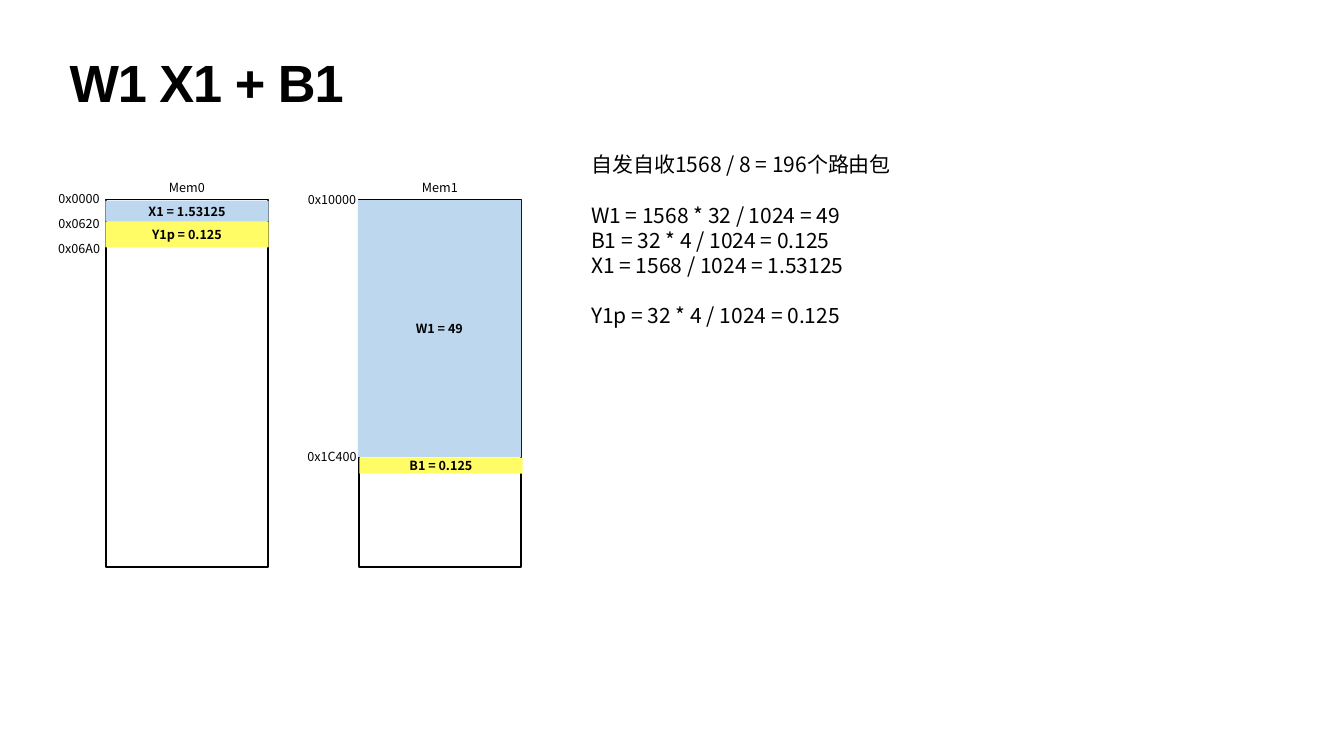
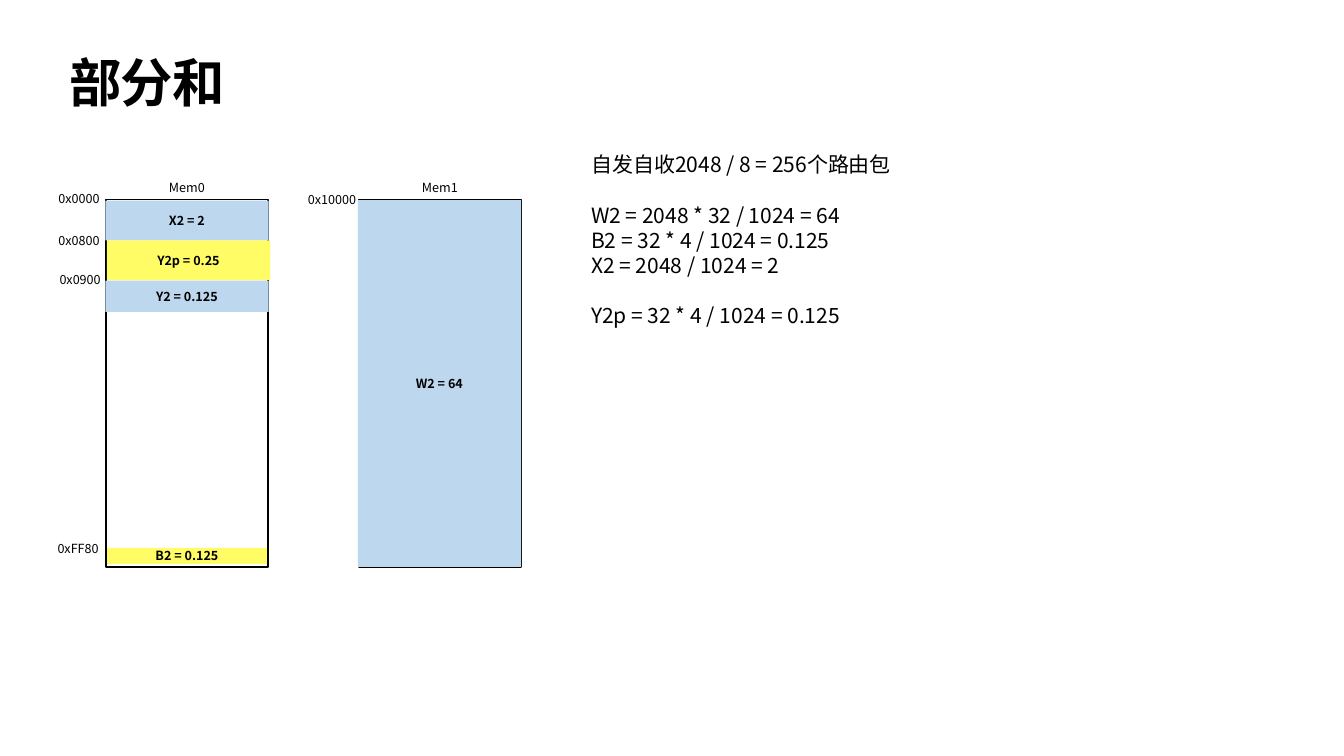
from pptx import Presentation
from pptx.dml.color import RGBColor
from pptx.enum.shapes import MSO_SHAPE
from pptx.enum.text import MSO_ANCHOR, PP_ALIGN
from pptx.oxml.ns import qn
from pptx.util import Emu, Pt

RECTANGLE = MSO_SHAPE.RECTANGLE
LEFT, CENTER = PP_ALIGN.LEFT, PP_ALIGN.CENTER
TOP, MIDDLE = MSO_ANCHOR.TOP, MSO_ANCHOR.MIDDLE

PX = 9144  # 100 px to the inch
BLACK, BLUE, YELLOW = "000000", "BDD7EE", "FFFC66"
BODY_FONT, TITLE_FONT = "Noto Sans CJK SC", "Arial"
MEMORY_TOP, MEMORY_WIDTH, MEMORY_HEIGHT = 396, 322, 729
BLOCK_WIDTH = 324
LABEL_WIDTH, LABEL_HEIGHT = 110, 40


def color(code):
    return RGBColor.from_string(code)


def write(shape, lines, size, align=CENTER, anchor=TOP, bold=False,
          font=BODY_FONT, inset=5, spacing=None, wrap=False):
    """Fill a shape with paragraphs; a line paired with a gap gets space before."""
    frame = shape.text_frame
    frame.word_wrap = wrap
    frame.vertical_anchor = anchor
    frame.margin_left = frame.margin_right = Emu(inset * PX)
    frame.margin_top = frame.margin_bottom = Emu(inset * PX)
    for index, (line, gap) in enumerate(lines):
        paragraph = frame.paragraphs[0] if index == 0 else frame.add_paragraph()
        paragraph.text = line
        paragraph.alignment = align
        paragraph.line_spacing = spacing
        if gap:
            paragraph.space_before = Pt(gap)
        for run in paragraph.runs:
            run.font.size = Pt(size)
            run.font.bold = bold
            run.font.name = font
            run.font.color.rgb = color(BLACK)
            east_asian = run.font._element.makeelement(
                qn("a:ea"), {"typeface": BODY_FONT})
            run.font._element.find(qn("a:latin")).addnext(east_asian)


# Memory: name, frame left, caption top, blocks below the frame line,
# blocks above it, addresses.
# Block: label, left, top, height, fill. Address: label, left, top.
layers = [
    {
        "title": "W1 X1 + B1",
        "memories": [
            ("Mem1", 712, 353, [],
             [("W1 = 49", 710, 397, 510, BLUE),
              ("B1 = 0.125", 713, 908, 32, YELLOW)],
             [("0x10000", 604, 375), ("0x1C400", 604, 886)]),
            ("Mem0", 210, 352, [],
             [("X1 = 1.53125", 209, 398, 42, BLUE),
              ("Y1p = 0.125", 209, 440, 51, YELLOW)],
             [("0x0000", 102, 374), ("0x0620", 102, 424),
              ("0x06A0", 102, 473)]),
        ],
        "sizes": [
            ["自发自收1568 / 8 = 196个路由包"],
            ["W1 = 1568 * 32 / 1024 = 49",
             "B1 = 32 * 4 / 1024 = 0.125",
             "X1 = 1568 / 1024 = 1.53125"],
            ["Y1p = 32 * 4 / 1024 = 0.125"],
        ],
    },
    {
        "title": "部分和",
        "memories": [
            ("Mem1", 712, 353, [],
             [("W2 = 64", 710, 397, 728, BLUE)],
             [("0x10000", 604, 375)]),
            ("Mem0", 210, 352,
             [("B2 = 0.125", 209, 1087, 32, YELLOW)],
             [("X2 = 2", 209, 398, 79, BLUE),
              ("Y2p = 0.25", 212, 477, 79, YELLOW),
              ("Y2 = 0.125", 209, 557, 62, BLUE)],
             [("0x0000", 102, 374), ("0x0800", 102, 458),
              ("0x0900", 104, 535), ("0xFF80", 100, 1069)]),
        ],
        "sizes": [
            ["自发自收2048 / 8 = 256个路由包"],
            ["W2 = 2048 * 32 / 1024 = 64",
             "B2 = 32 * 4 / 1024 = 0.125",
             "X2 = 2048 / 1024 = 2"],
            ["Y2p = 32 * 4 / 1024 = 0.125"],
        ],
    },
]

deck = Presentation()
deck.slide_width = Emu(2667 * PX)
deck.slide_height = Emu(1500 * PX)

for layer in layers:
    slide = deck.slides.add_slide(deck.slide_layouts[6])

    title = slide.shapes.add_textbox(132 * PX, 118 * PX, 2403 * PX, 157 * PX)
    write(title, [(layer["title"], 0)], 74.8, LEFT, bold=True,
          font=TITLE_FONT, inset=6, spacing=0.8, wrap=True)
    title.text_frame.paragraphs[0].runs[0].font._element.set("spc", "-150")

    for name, left, caption_top, under, over, addresses in layer["memories"]:
        outline = (None, left, MEMORY_TOP, MEMORY_HEIGHT, None)
        for label, x, y, height, fill in [*under, outline, *over]:
            width = BLOCK_WIDTH if label else MEMORY_WIDTH
            block = slide.shapes.add_shape(
                RECTANGLE, x * PX, y * PX, width * PX, height * PX)
            block.shadow.inherit = False
            if label:
                block.fill.solid()
                block.fill.fore_color.rgb = color(fill)
                block.line.fill.background()
                write(block, [(label, 0)], 18, anchor=MIDDLE, bold=True, inset=0)
            else:
                block.fill.background()
                block.line.color.rgb = color(BLACK)
                block.line.width = Pt(2.25)

        caption = (name, left + (MEMORY_WIDTH - LABEL_WIDTH) // 2, caption_top)
        for label, x, y in [caption, *addresses]:
            mark = slide.shapes.add_textbox(
                x * PX, y * PX, LABEL_WIDTH * PX, LABEL_HEIGHT * PX)
            write(mark, [(label, 0)], 18, spacing=Pt(21.6))

    size_lines = [(line, 36 if group and not row else 0)
                  for group, lines in enumerate(layer["sizes"])
                  for row, line in enumerate(lines)]
    notes = slide.shapes.add_textbox(1168 * PX, 296 * PX, 1330 * PX, 363 * PX)
    write(notes, size_lines, 30, LEFT, spacing=Pt(36), wrap=True)

deck.save("out.pptx")
